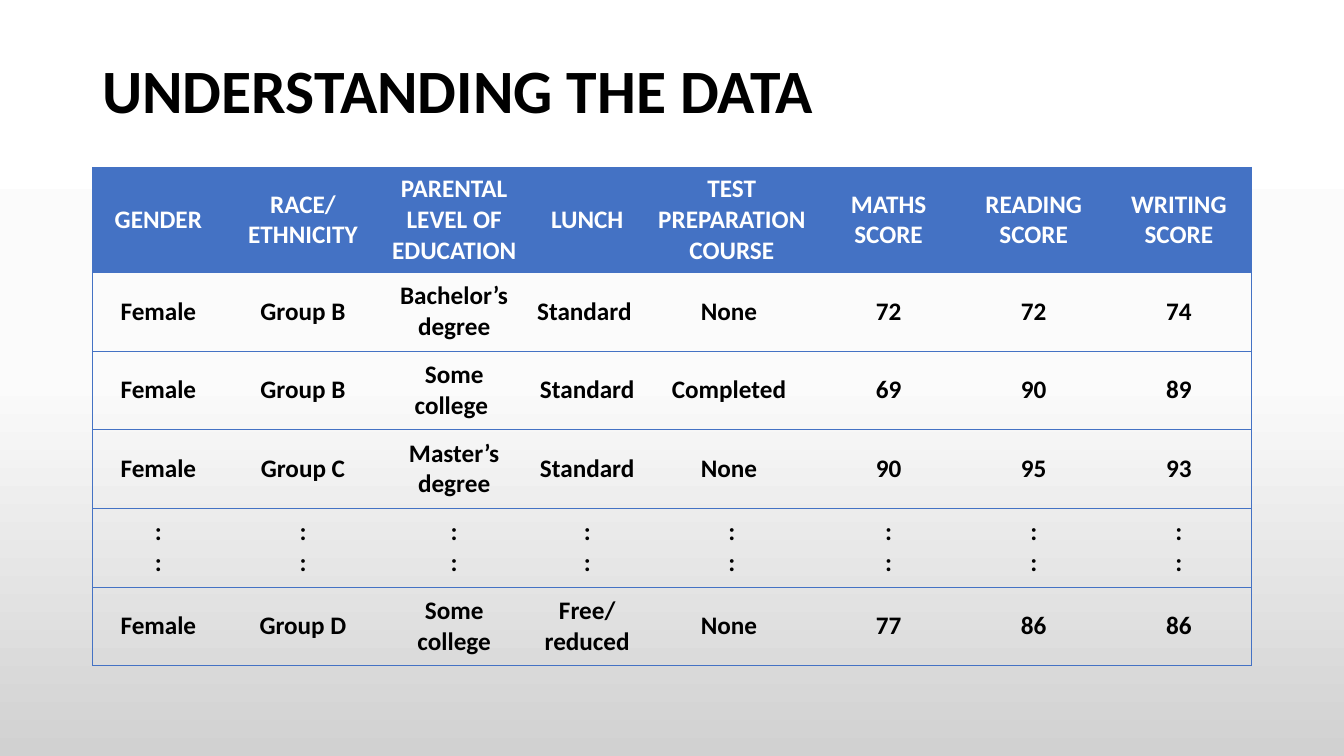
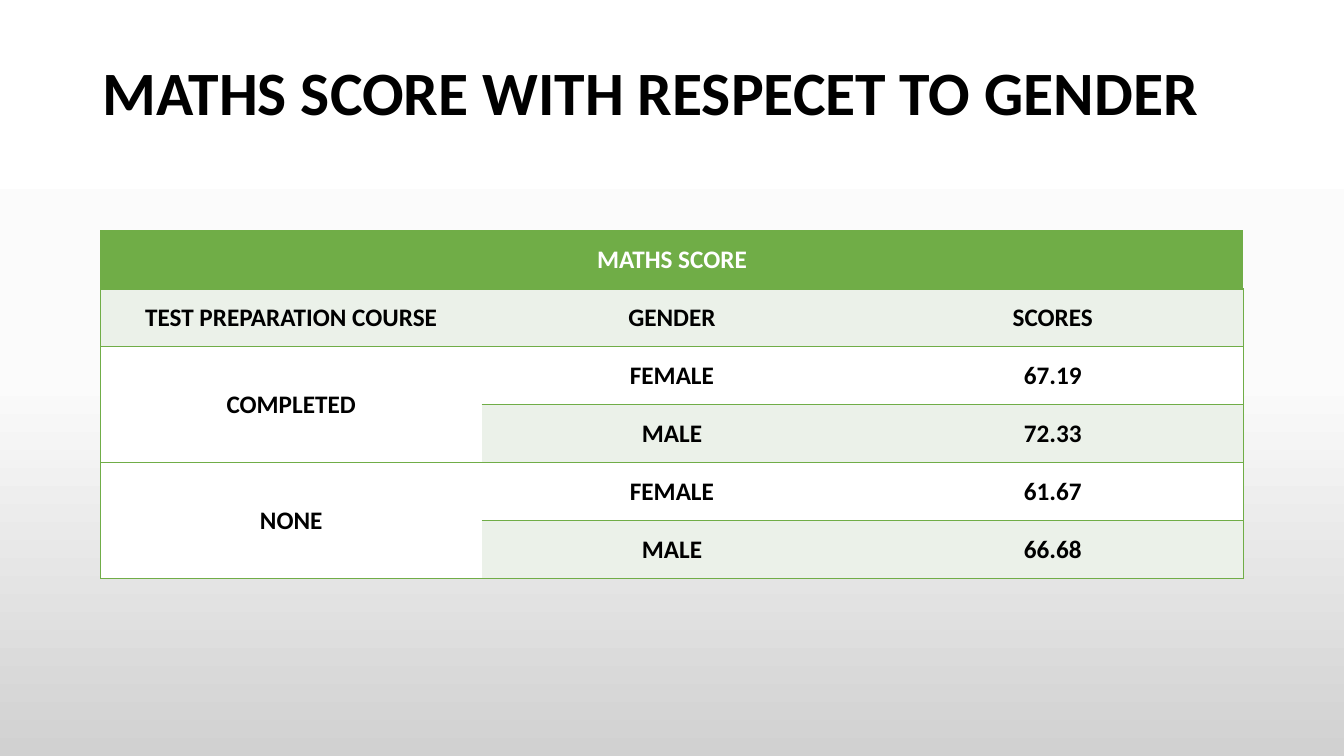
from copy import deepcopy

from pptx import Presentation
from pptx.dml.color import RGBColor
from pptx.enum.text import MSO_ANCHOR, PP_ALIGN
from pptx.oxml.ns import qn
from pptx.util import Pt
from lxml.etree import SubElement


class Theme:
    font = "Calibri"
    head = 44
    body = 18
    black = "000000"
    white = "FFFFFF"
    blue = "4472C4"
    green = "70AD47"
    pale = "EBF1E9"
    back = [(0, "FFFFFF"), (0.5, "FBFBFB"), (1, "D1D1D1")]
    plain = "{2D5ABB26-0587-4C30-8999-92F81FD0307C}"  # no style, no grid


def write(par, text, size, color):
    """Add bold text to a paragraph, with a line break at each newline."""
    for i, part in enumerate(text.split("\n")):
        if i:
            par.add_line_break()
        run = par.add_run()
        run.text = part
        run.font.name = Theme.font
        run.font.size = Pt(size)
        run.font.bold = True
        run.font.color.rgb = RGBColor.from_string(color)


def border(cell, side, color, width):
    """Draw one edge of a cell; call before the fill is set."""
    edge = SubElement(cell._tc.get_or_add_tcPr(), qn("a:ln" + side), w=str(Pt(width)))
    fill = SubElement(edge, qn("a:solidFill"))
    SubElement(fill, qn("a:srgbClr"), val=color)


# Slide content; None marks a cell covered by a merge
dots = [":\n:"] * 8
pages = [
    dict(
        title="UNDERSTANDING THE DATA", high=76.3,
        left=66, top=119.5, color=Theme.blue, line=0.5, bands=[None, None],
        cols=[94.3, 112.3, 103.7, 86.4, 120.2, 103.7, 103.7, 103.7],
        rows=[75] + [56.2] * 5, spans=[],
        cells=[
            ["GENDER", "RACE/ETHNICITY", "PARENTAL LEVEL OF EDUCATION", "LUNCH",
             "TEST PREPARATION COURSE", "MATHS SCORE", "READING SCORE", "WRITING SCORE"],
            ["Female", "Group B", "Bachelor’s degree", "Standard ", "None ", "72", "72", "74"],
            ["Female", "Group B", "Some college ", "Standard", "Completed ", "69", "90", "89"],
            ["Female", "Group C", "Master’s degree", "Standard", "None ", "90", "95", "93"],
            dots,
            ["Female", "Group D", "Some college", "Free/reduced", "None ", "77", "86", "86"],
        ],
    ),
    dict(
        title="MATHS SCORE WITH RESPECET TO GENDER", high=79.2,
        left=72, top=165, color=Theme.green, line=1, bands=[Theme.white, Theme.pale],
        cols=[272] * 3, rows=[41.4] * 6,
        spans=[(0, 0, 0, 2), (2, 0, 3, 0), (4, 0, 5, 0)],
        cells=[
            ["MATHS SCORE", None, None],
            ["TEST PREPARATION COURSE", "GENDER", "SCORES"],
            ["COMPLETED", "FEMALE", "67.19"],
            [None, "MALE", "72.33"],
            ["NONE", "FEMALE", "61.67"],
            [None, "MALE", "66.68"],
        ],
    ),
]

deck = Presentation()
deck.slide_width, deck.slide_height = Pt(960), Pt(540)

# Shared background on the master
fill = deck.slide_master.background.fill
fill.gradient()
fill.gradient_angle = 270
stops = deck.slide_master.element.find(".//" + qn("a:gsLst"))
stops.append(deepcopy(stops[-1]))
for stop, (pos, color) in zip(fill.gradient_stops, Theme.back):
    stop.position = pos
    stop.color.rgb = RGBColor.from_string(color)

for page in pages:
    slide = deck.slides.add_slide(deck.slide_layouts[6])

    # Title
    frame = slide.shapes.add_textbox(Pt(66), Pt(28.8), Pt(828), Pt(page["high"])).text_frame
    frame.word_wrap = True
    frame.vertical_anchor = MSO_ANCHOR.MIDDLE
    frame.paragraphs[0].line_spacing = 0.9
    write(frame.paragraphs[0], page["title"], Theme.head, Theme.black)

    # Table grid
    cols, rows = page["cols"], page["rows"]
    table = slide.shapes.add_table(
        len(rows), len(cols), Pt(page["left"]), Pt(page["top"]), Pt(sum(cols)), Pt(sum(rows))
    ).table
    table.horz_banding = False
    table._tbl.tblPr.find(qn("a:tableStyleId")).text = Theme.plain
    for col, wide in zip(table.columns, cols):
        col.width = Pt(wide)
    for row, tall in zip(table.rows, rows):
        row.height = Pt(tall)
    for r1, c1, r2, c2 in page["spans"]:
        table.cell(r1, c1).merge(table.cell(r2, c2))

    # Cells: rules between rows, a frame around, no inner uprights
    for r, texts in enumerate(page["cells"]):
        for c, text in enumerate(texts):
            cell = table.cell(r, c)
            shown = text is not None
            sides = {
                "L": c == 0,
                "R": c == len(cols) - 1,
                "T": shown or r == 0,
                "B": shown or r == len(rows) - 1,
            }
            for side, drawn in sides.items():
                if drawn:
                    border(cell, side, page["color"], page["line"])
            if not shown:
                continue
            shade = page["bands"][r % 2] if r else page["color"]
            if shade:
                cell.fill.solid()
                cell.fill.fore_color.rgb = RGBColor.from_string(shade)
            else:
                cell.fill.background()
            cell.vertical_anchor = MSO_ANCHOR.MIDDLE
            par = cell.text_frame.paragraphs[0]
            par.alignment = PP_ALIGN.CENTER
            write(par, text, Theme.body, Theme.black if r else Theme.white)

deck.save("out.pptx")
